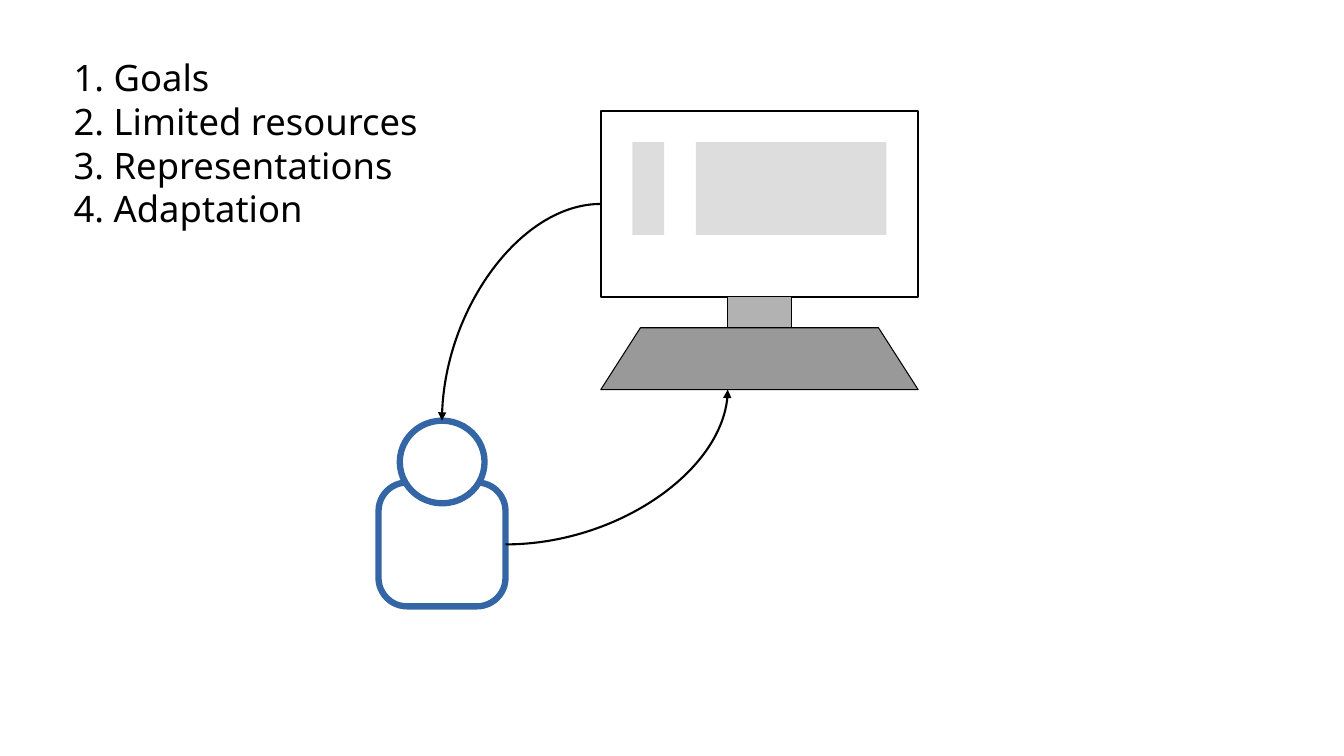
from dataclasses import dataclass

from lxml.etree import SubElement
from pptx import Presentation
from pptx.dml.color import RGBColor as Rgb
from pptx.enum.shapes import MSO_CONNECTOR as Link, MSO_SHAPE as Preset
from pptx.enum.text import MSO_ANCHOR as Anchor, MSO_AUTO_SIZE as AutoSize, PP_ALIGN as Align
from pptx.oxml.ns import qn
from pptx.util import Cm, Pt


@dataclass(frozen=True)
class Theme:
    font: str = "Noto Sans"
    list_size: float = 26
    ink: str = "000000"
    paper: str = "FFFFFF"
    person: str = "3465A4"
    panel: str = "DDDDDD"
    neck: str = "B2B2B2"
    base: str = "999999"
    hairline: float = 0
    outline: float = 1.5
    bold_outline: float = 4.5


class Sketch:
    left, top = 15.14, 2.8
    step_x, step_y = 0.8, 0.78

    def __init__(self, page, theme):
        self.page = page
        self.theme = theme

    def point(self, column, row):
        return Cm(self.left + column * self.step_x), Cm(self.top + row * self.step_y)

    def paint(self, shape, fill, line=None, weight=0):
        shape.shadow.inherit = False
        shape.fill.solid()
        shape.fill.fore_color.rgb = Rgb.from_string(fill)
        if line is None:
            shape.line.fill.background()
        else:
            shape.line.color.rgb = Rgb.from_string(line)
            shape.line.width = Pt(weight)
        return shape

    def block(self, preset, column, row, columns, rows, fill, line=None, weight=0):
        size = Cm(columns * self.step_x), Cm(rows * self.step_y)
        shape = self.page.shapes.add_shape(preset, *self.point(column, row), *size)
        return self.paint(shape, fill, line, weight)

    def polygon(self, corners, fill, line, weight):
        start, *others = [self.point(*corner) for corner in corners]
        builder = self.page.shapes.build_freeform(*start)
        builder.add_line_segments(others, close=True)
        return self.paint(builder.convert_to_shape(), fill, line, weight)

    def curved_arrow(self, start, end):
        arrow = self.page.shapes.add_connector(Link.CURVE, *self.point(*start), *self.point(*end))
        arrow.line.color.rgb = Rgb.from_string(self.theme.ink)
        arrow.line.width = Pt(self.theme.outline)
        properties = arrow._element.spPr
        properties.find(qn("a:prstGeom")).set("prst", "curvedConnector2")
        SubElement(properties.find(qn("a:ln")), qn("a:tailEnd"), type="triangle")
        SubElement(properties, qn("a:effectLst"))

    def numbered_list(self, items, left, top, width, height):
        box = self.page.placeholders[1]
        box.left, box.top, box.width, box.height = Cm(left), Cm(top), Cm(width), Cm(height)
        frame = box.text_frame
        frame.word_wrap = False
        frame.auto_size = AutoSize.NONE
        frame.vertical_anchor = Anchor.TOP
        for number, item in enumerate(items, 1):
            para = frame.paragraphs[0] if number == 1 else frame.add_paragraph()
            settings = para._p.get_or_add_pPr()
            settings.set("marL", "0")
            settings.set("indent", "0")
            SubElement(settings, qn("a:buNone"))
            para.alignment = Align.LEFT
            para.space_before = para.space_after = Pt(0)
            para.line_spacing = 1.0
            span = para.add_run()
            span.text = f"{number}. {item}"
            span.font.name = self.theme.font
            span.font.size = Pt(self.theme.list_size)
            span.font.color.rgb = Rgb.from_string(self.theme.ink)


def main():
    theme = Theme()
    deck = Presentation()
    deck.slide_width, deck.slide_height = Cm(33.87), Cm(19.05)
    page = deck.slides.add_slide(deck.slide_layouts[1])
    title = page.shapes.title._element
    title.getparent().remove(title)
    sketch = Sketch(page, theme)

    person = theme.paper, theme.person, theme.bold_outline
    body = sketch.block(Preset.ROUNDED_RECTANGLE, -7, 12, 4, 4, *person)
    body.adjustments[0] = 0.23
    sketch.block(Preset.OVAL, -6.33, 10, 2.67, 2.67, *person)

    sketch.block(Preset.RECTANGLE, 0, 0, 10, 6, theme.paper, theme.ink, theme.outline)
    base = [(0, 9), (10, 9), (8.75, 7), (1.25, 7)]
    sketch.polygon(base, theme.base, theme.ink, theme.hairline)
    sketch.curved_arrow((0, 3), (-5, 10))
    sketch.curved_arrow((-3, 14), (4, 9))
    sketch.block(Preset.RECTANGLE, 4, 6, 2, 1, theme.neck, theme.ink, theme.hairline)
    for column, columns in ((1, 1), (3, 6)):
        sketch.block(Preset.RECTANGLE, column, 1, columns, 3, theme.panel)

    topics = ["Goals", "Limited resources", "Representations", "Adaptation"]
    sketch.numbered_list(topics, 1.6, 1.27, 9.2, 5.26)
    deck.save("out.pptx")


if __name__ == "__main__":
    main()
